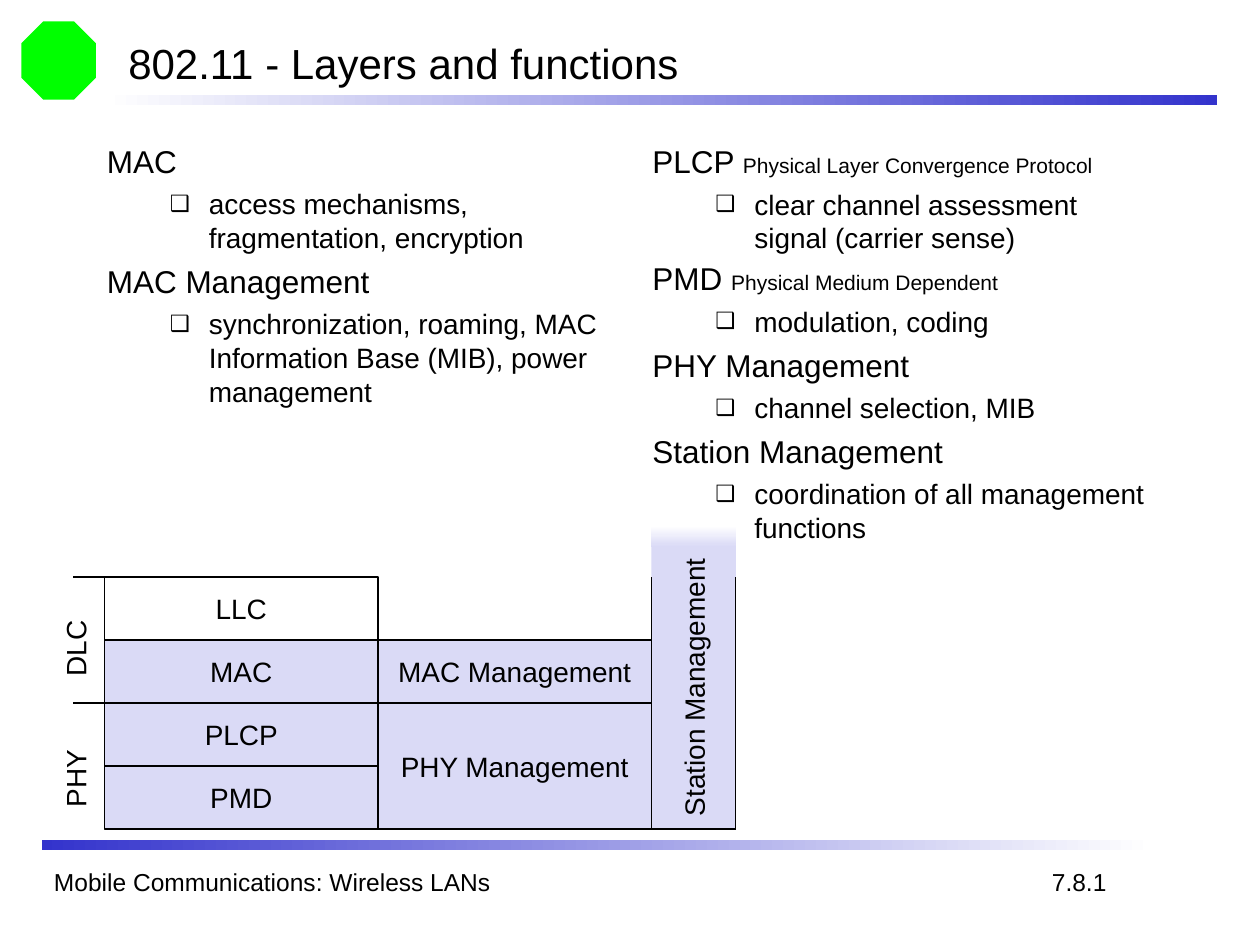
from lxml import etree
from pptx import Presentation
from pptx.dml.color import RGBColor
from pptx.enum.shapes import MSO_CONNECTOR, MSO_SHAPE
from pptx.enum.text import MSO_ANCHOR, MSO_AUTO_SIZE, PP_ALIGN
from pptx.oxml.ns import qn
from pptx.util import Inches, Pt

RECT, OCTAGON = MSO_SHAPE.RECTANGLE, MSO_SHAPE.OCTAGON
STRAIGHT = MSO_CONNECTOR.STRAIGHT
TOP, MIDDLE = MSO_ANCHOR.TOP, MSO_ANCHOR.MIDDLE
GROW, FIXED = MSO_AUTO_SIZE.SHAPE_TO_FIT_TEXT, MSO_AUTO_SIZE.NONE
LEFT, CENTER = PP_ALIGN.LEFT, PP_ALIGN.CENTER
BLACK, WHITE, BLUE, LILAC, GREEN = "000000", "FFFFFF", "3333CC", "DADAF6", "00FF00"
ACROSS, DOWN = 0, 270


def rgb(value):
    return RGBColor.from_string(value)


class SlideBuilder:
    font, color, line_width = "Arial", BLACK, 0.75

    def __init__(self, slide):
        self.slide = slide

    def run(self, p, text, size):
        r = p.add_run()
        r.text = text
        for name, value in {"name": self.font, "size": Pt(size)}.items():
            setattr(r.font, name, value)
        r.font.color.rgb = rgb(self.color)

    def shape(self, kind, x, y, w, h, fill, outline=False, angle=ACROSS):
        """Add a preset shape; a pair of colours as fill gives a gradient."""
        sp = self.slide.shapes.add_shape(kind, *map(Inches, (x, y, w, h)))
        sp.shadow.inherit = False
        if isinstance(fill, tuple):
            sp.fill.gradient()
            for stop, value in zip(sp.fill.gradient_stops, fill):
                stop.color.rgb = rgb(value)
            sp.fill.gradient_angle = angle
        else:
            sp.fill.solid()
            sp.fill.fore_color.rgb = rgb(fill)
        if outline:
            sp.line.color.rgb = rgb(BLACK)
            sp.line.width = Pt(self.line_width)
        else:
            sp.line.fill.background()
        return sp

    def box(self, text, x, y, w, h, fill=LILAC, outline=True, vert=None):
        sp = self.shape(RECT, x, y, w, h, fill, outline)
        tf = sp.text_frame
        tf.word_wrap = False
        tf.vertical_anchor = MIDDLE
        if vert:
            tf._txBody.bodyPr.set("vert", vert)
        p = tf.paragraphs[0]
        p.alignment = CENTER
        self.run(p, text, 16)

    def text_frame(self, x, y, w, h, anchor=TOP, wrap=True, rotation=0):
        sp = self.slide.shapes.add_textbox(*map(Inches, (x, y, w, h)))
        sp.rotation = rotation
        tf = sp.text_frame
        fmt = {"word_wrap": wrap, "auto_size": FIXED if wrap else GROW,
               "vertical_anchor": anchor}
        for name, value in fmt.items():
            setattr(tf, name, value)
        return tf

    def label(self, text, x, y, w, h, size, **frame):
        p = self.text_frame(x, y, w, h, **frame).paragraphs[0]
        p.alignment = LEFT
        self.run(p, text, size)

    def bullet(self, p):
        pPr = p._p.get_or_add_pPr()
        pPr.set("marL", str(Inches(0.81)))
        pPr.set("indent", str(Inches(-0.31)))
        etree.SubElement(pPr, qn("a:buSzPct")).set("val", "80000")
        etree.SubElement(pPr, qn("a:buFont")).set("typeface", self.font)
        etree.SubElement(pPr, qn("a:buChar")).set("char", "❑")

    def topics(self, items, x, y, w, h):
        """Write (heading, small gloss, bulleted detail) triples."""
        tf = self.text_frame(x, y, w, h)
        for i, (heading, gloss, detail) in enumerate(items):
            p = tf.add_paragraph() if i else tf.paragraphs[0]
            p.space_before = Pt(3 if gloss else 4.5)
            self.run(p, heading, 18)
            if gloss:
                self.run(p, gloss, 12)
            p = tf.add_paragraph()
            p.space_before = Pt(4)
            self.bullet(p)
            self.run(p, detail, 16)

    def line(self, x1, y1, x2, y2):
        ln = self.slide.shapes.add_connector(STRAIGHT, *map(Inches, (x1, y1, x2, y2)))
        ln.line.color.rgb = rgb(BLACK)
        ln.line.width = Pt(self.line_width)
        etree.SubElement(ln._element.spPr, qn("a:effectLst"))


def main():
    prs = Presentation()
    prs.slide_width, prs.slide_height = Inches(10), Inches(7.5)
    s = SlideBuilder(prs.slides.add_slide(prs.slide_layouts[6]))

    s.shape(OCTAGON, 0.17, 0.17, 0.59, 0.62, GREEN)
    s.shape(RECT, 0.83, 0.75, 8.83, 0.08, (WHITE, BLUE))
    s.shape(RECT, 0.33, 6.67, 8.83, 0.08, (BLUE, WHITE))
    s.label("802.11 - Layers and functions", 0.92, 0.25, 8.5, 0.5, 24, anchor=MIDDLE)
    s.label("Mobile Communications: Wireless LANs", 0.33, 6.83, 6.75, 0.33, 14)
    s.label("7.8.1", 8.25, 6.83, 0.65, 0.34, 14, wrap=False)

    s.topics([
        ("MAC", "", "access mechanisms, fragmentation, encryption"),
        ("MAC Management", "", "synchronization, roaming, MAC Information Base (MIB), "
                               "power management"),
    ], 0.75, 1.08, 4.17, 2.5)
    s.topics([
        ("PLCP ", "Physical Layer Convergence Protocol",
         "clear channel assessment signal (carrier sense)"),
        ("PMD ", "Physical Medium Dependent", "modulation, coding"),
        ("PHY Management", "", "channel selection, MIB"),
        ("Station Management", "", "coordination of all management functions"),
    ], 5.08, 1.08, 4.17, 3.25)

    # Layer stack with its management columns
    left, top, width, row = 0.83, 4.58, 2.17, 0.5
    bottom = top + 4 * row
    for i, name in enumerate(["LLC", "MAC", "PLCP", "PMD"]):
        s.box(name, left, top + i * row, width, row, LILAC if i else WHITE)
    middle = left + width
    s.box("MAC Management", middle, top + row, width, row)
    s.box("PHY Management", middle, top + 2 * row, width, 2 * row)

    for i, name in enumerate(["DLC", "PHY"]):
        y = top + 2 * i * row
        s.line(left - 0.25, y, left, y)
        s.label(name, 0.26, 4.94 + 1.04 * i, 0.68, 0.37, 16, wrap=False, rotation=270)

    station, station_w = middle + width, 0.67
    right = station + station_w
    s.box("Station Management", station, top - 0.25, station_w, 2.25,
          outline=False, vert="vert270")
    for x in (station, right):
        s.line(x, top, x, bottom)
    s.line(station, bottom, right, bottom)
    s.shape(RECT, station, top - 0.41, station_w, 0.17, (WHITE, LILAC), angle=DOWN)

    prs.save("out.pptx")


if __name__ == "__main__":
    main()
